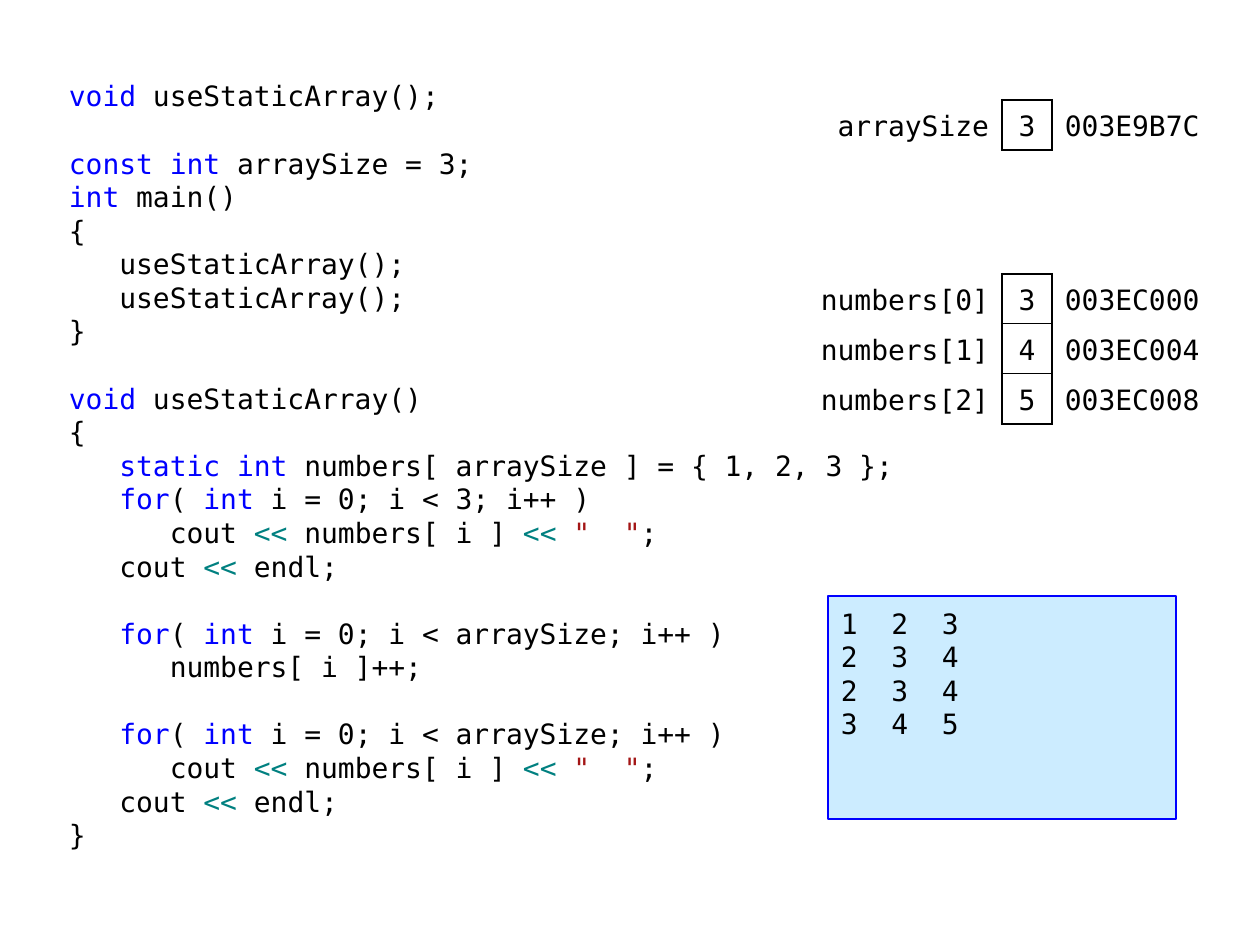
from lxml.etree import SubElement
from pptx import Presentation
from pptx.dml.color import RGBColor
from pptx.enum.shapes import MSO_SHAPE
from pptx.enum.text import MSO_ANCHOR, PP_ALIGN
from pptx.oxml.ns import qn
from pptx.util import Emu, Pt

BLACK = RGBColor(0x00, 0x00, 0x00)
BLUE = RGBColor(0x00, 0x00, 0xFF)
TEAL = RGBColor(0x00, 0x80, 0x80)
RED = RGBColor(0xA3, 0x15, 0x15)
PALE = RGBColor(0xCC, 0xEC, 0xFF)
FONT = "DejaVu Sans Mono"
SIZE = Pt(16)
PITCH = Pt(19.2)
PLAIN = "{2D5ABB26-0587-4C30-8999-92F81FD0307C}"
HUES = {
    "void": BLUE, "const": BLUE, "static": BLUE, "int": BLUE, "for": BLUE,
    "<<": TEAL, '"  "': RED,
}
CODE = """void useStaticArray();

const int arraySize = 3;
int main()
{
   useStaticArray();
   useStaticArray();
}

void useStaticArray()
{
   static int numbers[ arraySize ] = { 1, 2, 3 };
   for( int i = 0; i < 3; i++ )
      cout << numbers[ i ] << "  ";
   cout << endl;

   for( int i = 0; i < arraySize; i++ )
      numbers[ i ]++;

   for( int i = 0; i < arraySize; i++ )
      cout << numbers[ i ] << "  ";
   cout << endl;
}"""
OUTPUT = "1  2  3\n2  3  4\n2  3  4\n3  4  5"
SIZES = [("arraySize", "3", "003E9B7C")]
NUMBERS = [
    ("numbers[0]", "3", "003EC000"),
    ("numbers[1]", "4", "003EC004"),
    ("numbers[2]", "5", "003EC008"),
]
WIDTHS = (198, 50, 174)
ROW = 50
ALIGNS = (PP_ALIGN.RIGHT, PP_ALIGN.CENTER, PP_ALIGN.LEFT)


def px(num):
    """Turn pixels into EMU."""
    return Emu(round(num * 914400 / 126))


def style(font, color=BLACK):
    """Set the code font in one colour."""
    font.name, font.size = FONT, SIZE
    font.color.rgb = color


def pad(item, left, top, right, base):
    """Set the inner margins of a cell or text frame."""
    item.margin_left, item.margin_top = px(left), px(top)
    item.margin_right, item.margin_bottom = px(right), px(base)


def tokens(line):
    """Split a line of code at its coloured words."""
    for key in HUES:
        line = line.replace(key, f"|{key}|")
    return [part for part in line.split("|") if part]


def write(frame, text):
    """Write coloured lines, with a blank line as space before the next."""
    frame.word_wrap = True
    frame.vertical_anchor = MSO_ANCHOR.TOP
    para, gap = frame.paragraphs[0], False
    for num, line in enumerate(text.split("\n")):
        if not line:
            gap = True
            continue
        if num:
            para = frame.add_paragraph()
        para.alignment = PP_ALIGN.LEFT
        para.line_spacing = PITCH
        if gap:
            para.space_before = PITCH
            gap = False
        for part in tokens(line):
            run = para.add_run()
            run.text = part
            style(run.font, HUES.get(part, BLACK))


def add_code(slide, left, top, width, height):
    """Add the program listing."""
    box = slide.shapes.add_textbox(px(left), px(top), px(width), px(height))
    pad(box.text_frame, 10, 3, 10, 3)
    write(box.text_frame, CODE)


def add_screen(slide, left, top, width, height):
    """Add the box with the program output."""
    box = slide.shapes.add_shape(
        MSO_SHAPE.RECTANGLE, px(left), px(top), px(width), px(height))
    box.shadow.inherit = False
    box.fill.solid()
    box.fill.fore_color.rgb = PALE
    box.line.color.rgb = BLUE
    box.line.width = Pt(1.5)
    pad(box.text_frame, 13, 10, 13, 6)
    write(box.text_frame, OUTPUT)


def add_edge(cell, side, width):
    """Draw one black cell border."""
    props = cell._tc.get_or_add_tcPr()
    line = SubElement(props, qn(f"a:ln{side}"), w=str(Pt(width)))
    fill = SubElement(line, qn("a:solidFill"))
    SubElement(fill, qn("a:srgbClr"), val=str(BLACK))


def edges(row, col, last):
    """Give the border sides and widths of a cell."""
    if col == 0:
        return {"R": 1.5}
    if col == 2:
        return {"L": 1.5}
    return {"L": 1.5, "R": 1.5,
            "T": 0.75 if row else 1.5, "B": 1.5 if row == last else 0.75}


def add_memory(slide, left, top, rows):
    """Add a table of names, values and addresses."""
    frame = slide.shapes.add_table(
        len(rows), len(WIDTHS), px(left), px(top),
        px(sum(WIDTHS)), px(ROW * len(rows)))
    table = frame.table
    table.first_row = table.horz_banding = False
    next(frame._element.iter(qn("a:tableStyleId"))).text = PLAIN
    for col, width in zip(table.columns, WIDTHS):
        col.width = px(width)
    for i, texts in enumerate(rows):
        table.rows[i].height = px(ROW)
        for j, text in enumerate(texts):
            cell = table.cell(i, j)
            side = 0 if j == 1 else 13
            pad(cell, side, 0, side, 0)
            cell.vertical_anchor = MSO_ANCHOR.MIDDLE
            for edge, width in edges(i, j, len(rows) - 1).items():
                add_edge(cell, edge, width)
            cell.fill.background()
            para = cell.text_frame.paragraphs[0]
            para.text = text
            para.alignment = ALIGNS[j]
            para.line_spacing = 1.1
            style(para.runs[0].font)


def main():
    """Build and save the slide."""
    deck = Presentation()
    deck.slide_width, deck.slide_height = px(1260), px(945)
    slide = deck.slides.add_slide(deck.slide_layouts[6])
    add_code(slide, 59, 76, 868, 794)
    add_memory(slide, 804, 274, NUMBERS)
    add_memory(slide, 804, 100, SIZES)
    add_screen(slide, 828, 596, 348, 223)
    deck.save("out.pptx")


if __name__ == "__main__":
    main()
